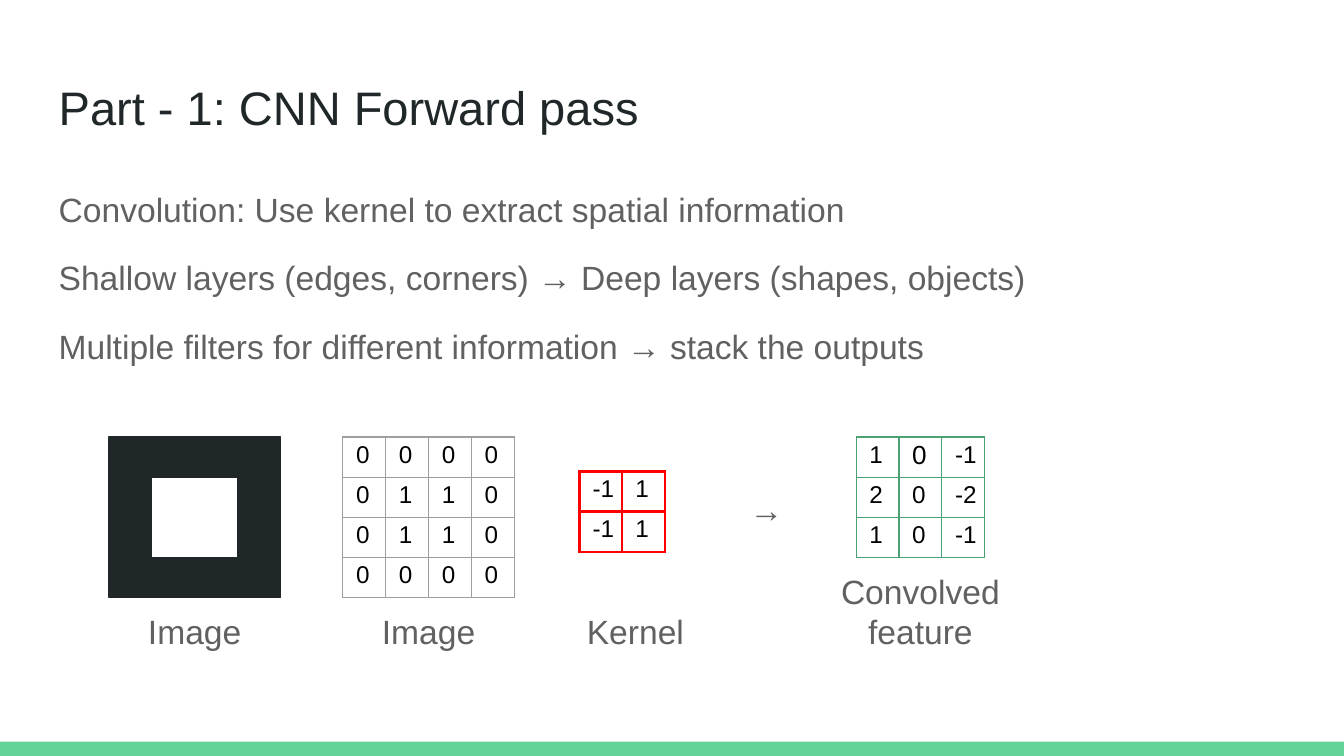
import collections

import pptx
import pptx.dml.color
import pptx.enum.shapes
import pptx.enum.text
import pptx.oxml
import pptx.oxml.ns
import pptx.util

Cm = pptx.util.Cm
Pt = pptx.util.Pt
RGBColor = pptx.dml.color.RGBColor
Align = pptx.enum.text.PP_ALIGN

INK = RGBColor(0x20, 0x27, 0x29)
GREY = RGBColor(0x61, 0x61, 0x61)
BLACK = RGBColor(0, 0, 0)
WHITE = RGBColor(0xFF, 0xFF, 0xFF)
MINT = RGBColor(0x63, 0xD2, 0x97)
GRID_GREY = RGBColor(0x9E, 0x9E, 0x9E)
KERNEL_RED = RGBColor(0xFF, 0, 0)
FEATURE_GREEN = RGBColor(0x4B, 0xA1, 0x73)

SLIDE_WIDTH, SLIDE_HEIGHT = 25.4, 14.29
CELL_WIDTH, CELL_HEIGHT = 0.81, 0.76
INSET = 0.25

Box = collections.namedtuple("Box", "left top width height")


def emu(box):
    return [Cm(length) for length in box]


def write(frame, text, size=18, color=GREY, align=Align.LEFT, line=None, before=0):
    frame.word_wrap = True
    for index, words in enumerate(text.split("\n")):
        paragraph = frame.add_paragraph() if index else frame.paragraphs[0]
        paragraph.alignment = align
        if line:
            paragraph.line_spacing = line
        if index:
            paragraph.space_before = Pt(before)
        run = paragraph.add_run()
        run.text = words
        run.font.name = "Arial"
        run.font.size = Pt(size)
        run.font.color.rgb = color


def set_frame(frame):
    frame.auto_size = pptx.enum.text.MSO_AUTO_SIZE.NONE
    frame.vertical_anchor = pptx.enum.text.MSO_ANCHOR.TOP
    frame.margin_left = frame.margin_right = Cm(INSET)
    frame.margin_top = frame.margin_bottom = Cm(INSET)


def text_region(slide, box, text, **style):
    frame = slide.shapes.add_textbox(*emu(box)).text_frame
    set_frame(frame)
    write(frame, text, **style)


def title_region(slide, box, text):
    title = slide.shapes.title
    title.left, title.top, title.width, title.height = emu(box)
    set_frame(title.text_frame)
    write(title.text_frame, text, size=25.2, color=INK)


def rectangle(slide, box, fill, line=None):
    block = slide.shapes.add_shape(pptx.enum.shapes.MSO_SHAPE.RECTANGLE, *emu(box))
    block.shadow.inherit = False
    block.fill.solid()
    block.fill.fore_color.rgb = fill
    if line is None:
        block.line.fill.background()
    else:
        block.line.color.rgb = line
        block.line.width = Pt(0.75)


def square_picture(slide, box):
    rectangle(slide, box, INK, INK)
    hole = Box(box.left + box.width / 4, box.top + box.height / 4,
               box.width / 2, box.height / 2)
    rectangle(slide, hole, WHITE, INK)


def set_borders(cell, color, width):
    properties = cell._tc.get_or_add_tcPr()
    for position, side in enumerate(("lnL", "lnR", "lnT", "lnB")):
        border = pptx.oxml.parse_xml(
            f'<a:{side} {pptx.oxml.ns.nsdecls("a")} w="{Pt(width)}">'
            f'<a:solidFill><a:srgbClr val="{color}"/></a:solidFill></a:{side}>')
        properties.insert(position, border)


def matrix(slide, box, values, color, border=0.75, larger=()):
    table = slide.shapes.add_table(len(values), len(values[0]), *emu(box)).table
    table.first_row = table.horz_banding = False
    for column in table.columns:
        column.width = Cm(box.width / len(values[0]))
    for row in table.rows:
        row.height = Cm(box.height / len(values))
    for i, numbers in enumerate(values):
        for j, number in enumerate(numbers):
            cell = table.cell(i, j)
            cell.margin_left, cell.margin_top = Cm(INSET), Cm(0.08)
            cell.margin_right = cell.margin_bottom = 0
            cell.fill.background()
            set_borders(cell, color, border)
            write(cell.text_frame, str(number), color=BLACK,
                  size=14 if (i, j) in larger else 13)


def caption(slide, box, text, width=2.64):
    below = Box(box.left + (box.width - width) / 2, box.top + box.height, width, 1.19)
    text_region(slide, below, text, align=Align.CENTER)


def grid_box(left, top, columns, rows):
    return Box(left, top, columns * CELL_WIDTH, rows * CELL_HEIGHT)


def convolution_region(slide, box):
    picture = grid_box(box.left, box.top, 4, 4)
    pixels = grid_box(box.left + 4.42, box.top, 4, 4)
    kernel = grid_box(box.left + 8.89, box.top + 0.65, 2, 2)
    feature = grid_box(box.left + 14.12, box.top, 3, 3)

    square_picture(slide, picture)
    matrix(slide, pixels,
           [[0, 0, 0, 0], [0, 1, 1, 0], [0, 1, 1, 0], [0, 0, 0, 0]], GRID_GREY)
    matrix(slide, kernel, [[-1, 1], [-1, 1]], KERNEL_RED, border=1.5)
    matrix(slide, feature, [[1, 0, -1], [2, 0, -2], [1, 0, -1]], FEATURE_GREEN,
           larger={(0, 1)})

    caption(slide, picture, "Image")
    caption(slide, pixels, "Image")
    caption(slide, Box(kernel.left + 0.25, box.top, kernel.width, box.height), "Kernel")
    caption(slide, feature, "Convolved feature", width=3.73)
    text_region(slide, Box(box.left + 11.86, box.top + 0.73, 0.99, 0.66), "→")


def main():
    deck = pptx.Presentation()
    deck.slide_width, deck.slide_height = Cm(SLIDE_WIDTH), Cm(SLIDE_HEIGHT)
    slide = deck.slides.add_slide(deck.slide_layouts[5])

    rectangle(slide, Box(0, SLIDE_HEIGHT - 0.27, SLIDE_WIDTH, 0.27), MINT)
    title_region(slide, Box(0.86, 1.24, 23.67, 1.6), "Part - 1: CNN Forward pass")
    text_region(slide, Box(0.86, 3.2, 23.67, 4.6),
                "Convolution: Use kernel to extract spatial information\n"
                "Shallow layers (edges, corners) → Deep layers (shapes, objects)\n"
                "Multiple filters for different information → stack the outputs",
                line=1.15, before=12)
    convolution_region(slide, Box(2.06, 8.26, 16.55, 4 * CELL_HEIGHT))

    deck.save("out.pptx")


if __name__ == "__main__":
    main()
